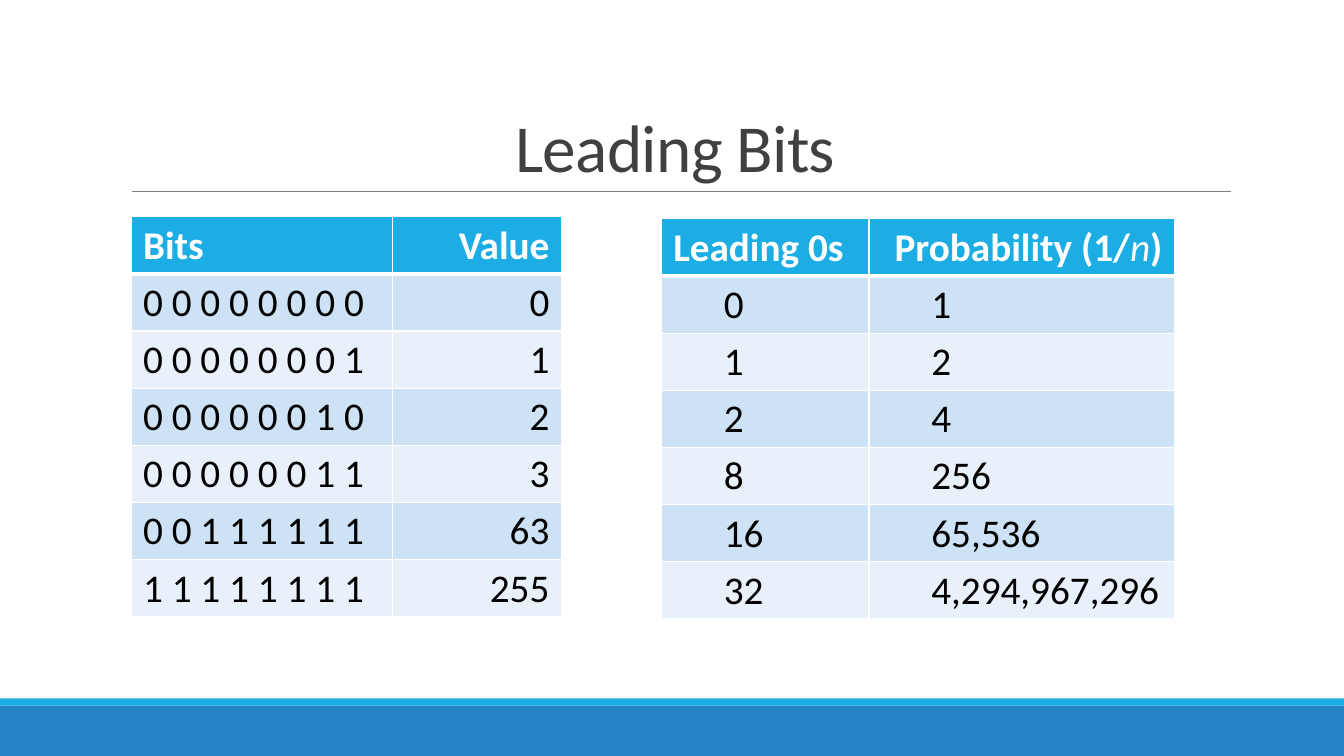
from dataclasses import dataclass

from lxml.etree import SubElement
from pptx import Presentation
from pptx.dml.color import RGBColor
from pptx.enum.shapes import MSO_CONNECTOR, MSO_SHAPE
from pptx.enum.text import MSO_ANCHOR, PP_ALIGN
from pptx.oxml.ns import qn
from pptx.util import Inches, Pt


@dataclass(frozen=True)
class Theme:
    font: str = "Calibri"
    title_size: int = 48
    table_size: int = 28
    title: str = "404040"
    rule: str = "808080"
    accent: str = "1CADE4"
    footer: str = "2683C6"
    white: str = "FFFFFF"
    body: str = "000000"
    bands: tuple = ("CDE3F5", "E8F1FA")


class SlideBuilder:
    """Places elements on a grid of 133.33 columns by 75 rows."""

    COLUMNS, ROWS = 133.33, 75

    def __init__(self, deck, theme):
        self.theme = theme
        self.column = deck.slide_width / self.COLUMNS
        self.row = deck.slide_height / self.ROWS
        self.slide = deck.slides.add_slide(deck.slide_layouts[6])

    def across(self, columns):
        return round(columns * self.column)

    def down(self, rows):
        return round(rows * self.row)

    def box(self, left, top, width, height):
        return self.across(left), self.down(top), self.across(width), self.down(height)

    def style(self, paragraph, size, color):
        paragraph.font.name = self.theme.font
        paragraph.font.size = Pt(size)
        paragraph.font.color.rgb = RGBColor.from_string(color)

    def band(self, top, height, color):
        bar = self.slide.shapes.add_shape(
            MSO_SHAPE.RECTANGLE, *self.box(0, top, self.COLUMNS, height))
        bar.shadow.inherit = False
        bar.fill.solid()
        bar.fill.fore_color.rgb = RGBColor.from_string(color)
        bar.line.fill.background()

    def rule(self, left, right, top):
        line = self.slide.shapes.add_connector(
            MSO_CONNECTOR.STRAIGHT, self.across(left), self.down(top),
            self.across(right), self.down(top))
        line.line.color.rgb = RGBColor.from_string(self.theme.rule)
        line.line.width = Pt(0.5)
        SubElement(line._element.spPr, qn("a:effectLst"))

    def title(self, text, *place):
        frame = self.slide.shapes.add_textbox(*self.box(*place)).text_frame
        frame.word_wrap = True
        frame.vertical_anchor = MSO_ANCHOR.BOTTOM
        heading = frame.paragraphs[0]
        heading.alignment = PP_ALIGN.CENTER
        heading.line_spacing = 0.85
        run = heading.add_run()
        run.text = text
        run._r.get_or_add_rPr().set("spc", "-50")
        self.style(heading, self.theme.title_size, self.theme.title)

    def borders(self, cell, bottom):
        properties = cell._tc.get_or_add_tcPr()
        for side, width in (("L", 1), ("R", 1), ("T", 1), ("B", bottom)):
            line = SubElement(properties, qn(f"a:ln{side}"), w=str(Pt(width)))
            fill = SubElement(line, qn("a:solidFill"))
            SubElement(fill, qn("a:srgbClr"), val=self.theme.white)

    def cell(self, cell, runs, alignment, color, fill, header=False, indent=0):
        self.borders(cell, 3 if header else 1)
        cell.fill.solid()
        cell.fill.fore_color.rgb = RGBColor.from_string(fill)
        cell.margin_left = cell.margin_right = Inches(0.12)
        cell.margin_top = cell.margin_bottom = Inches(0.05)
        paragraph = cell.text_frame.paragraphs[0]
        paragraph.alignment = alignment
        if indent:
            paragraph.level = 1
            properties = paragraph._p.get_or_add_pPr()
            properties.set("marL", str(self.across(indent)))
            properties.set("indent", "0")
        for text, italic in runs:
            run = paragraph.add_run()
            run.text = text
            if len(runs) > 1:
                run.font.bold, run.font.italic = not italic, italic
        self.style(paragraph, self.theme.table_size, color)
        if len(runs) == 1:
            paragraph.font.bold = header

    def table(self, left, top, widths, headers, records, body_right, indent=0):
        """Header row, then banded rows; the last header is right-aligned."""
        row_height = 5.67
        grid = self.slide.shapes.add_table(
            len(records) + 1, len(widths),
            *self.box(left, top, sum(widths), row_height * (len(records) + 1))).table
        for column, width in zip(grid.columns, widths):
            column.width = self.across(width)
        sides = (PP_ALIGN.LEFT, PP_ALIGN.RIGHT)
        for index, runs in enumerate(headers):
            self.cell(grid.cell(0, index), runs, sides[index],
                      self.theme.white, self.theme.accent, header=True)
        for number, record in enumerate(records):
            for index, value in enumerate(record):
                self.cell(grid.cell(number + 1, index), [(value, False)],
                          sides[index and body_right], self.theme.body,
                          self.theme.bands[number % 2], indent=indent)


def main():
    deck = Presentation()
    deck.slide_width, deck.slide_height = Inches(13.33), Inches(7.5)
    theme = Theme()
    page = SlideBuilder(deck, theme)

    # Footer bands and title
    page.band(70, 5, theme.footer)
    page.band(69.3, 0.7, theme.accent)
    page.rule(13.1, 122.1, 19)
    page.title("Leading Bits", 12, 3.1, 110, 15.9)

    # Odds of a run of leading zeros
    leading_zeros = (0, 1, 2, 8, 16, 32)
    page.table(
        65.6, 21.7, (20.6, 30.3),
        ([("Leading 0s", False)],
         [("Probability (1/", False), ("n", True), (")", False)]),
        [(str(zeros), f"{2 ** zeros:,}") for zeros in leading_zeros],
        body_right=False, indent=5)

    # Bit patterns and their values
    byte_values = (0, 1, 2, 3, 63, 255)
    page.table(
        13, 21.5, (25.9, 16.8),
        ([("Bits", False)], [("Value", False)]),
        [(" ".join(f"{value:08b}"), str(value)) for value in byte_values],
        body_right=True)

    deck.save("out.pptx")


if __name__ == "__main__":
    main()
